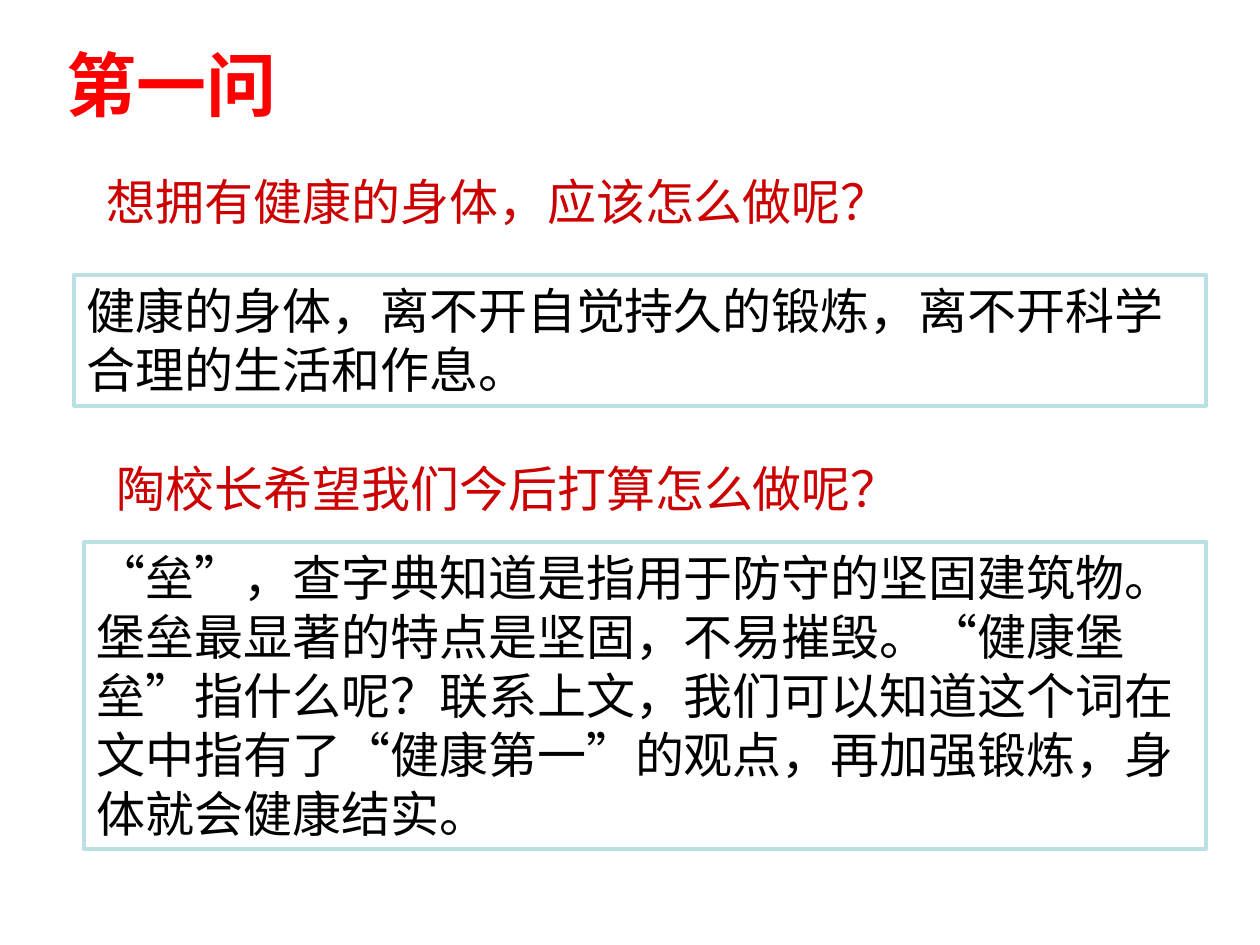
from pptx import Presentation
from pptx.dml.color import RGBColor
from pptx.enum.lang import MSO_LANGUAGE_ID
from pptx.enum.shapes import MSO_SHAPE
from pptx.enum.text import MSO_ANCHOR, MSO_AUTO_SIZE, PP_ALIGN
from pptx.oxml.ns import qn
from pptx.util import Inches, Pt
from lxml.etree import SubElement

# Content: heading, then a question and its answer, each with left, top, width, height
SANS = "Noto Sans CJK SC"
HEAD = ("第一问", (0.43, 0.28, 2.52, 0.77))
PAIRS = [
    (("想拥有健康的身体，应该怎么做呢？", (0.75, 1.31, 8.74, 0.57), SANS),
     ("健康的身体，离不开自觉持久的锻炼，离不开科学合理的生活和作息。",
      (0.59, 2.18, 8.98, 1.04))),
    (("陶校长希望我们今后打算怎么做呢？", (0.83, 3.59, 6.93, 0.57), "Arial"),
     ("“垒”，查字典知道是指用于防守的坚固建筑物。堡垒最显著的特点是坚固，不易摧毁。"
      "“健康堡垒”指什么呢？联系上文，我们可以知道这个词在文中指有了“健康第一”的观点，"
      "再加强锻炼，身体就会健康结实。", (0.67, 4.3, 8.9, 2.44))),
]
FRAME = {"word_wrap": True, "auto_size": MSO_AUTO_SIZE.NONE,
         "vertical_anchor": MSO_ANCHOR.TOP,
         "margin_left": Inches(0.1), "margin_right": Inches(0.1),
         "margin_top": Inches(0.05), "margin_bottom": Inches(0.05)}


def color(code):
    return RGBColor.from_string(code)


def apply(item, values):
    for key, value in values.items():
        setattr(item, key, value)


def write(shape, text, tint, name=SANS, size=28, bold=False):
    frame = shape.text_frame
    apply(frame, FRAME)
    para = frame.paragraphs[0]
    apply(para, {"alignment": PP_ALIGN.LEFT, "space_before": Pt(0)})
    run = para.add_run()
    run.text = text
    apply(run.font, {"name": name, "size": Pt(size), "bold": bold,
                     "language_id": MSO_LANGUAGE_ID.SIMPLIFIED_CHINESE})
    run.font.color.rgb = color(tint)
    # East Asian typeface for the Chinese glyphs
    SubElement(run.font._element, qn("a:ea")).set("typeface", SANS)


def place(box):
    return [Inches(part) for part in box]


deck = Presentation()
apply(deck, {"slide_width": Inches(10), "slide_height": Inches(7.5)})
slide = deck.slides.add_slide(deck.slide_layouts[5])

# Heading
text, box = HEAD
title = slide.shapes.title
apply(title, dict(zip(("left", "top", "width", "height"), place(box))))
write(title, text, "FF0000", "Arial", 40, True)

# Questions with framed answers
for (ask, spot, face), (reply, box) in PAIRS:
    write(slide.shapes.add_textbox(*place(spot)), ask, "CC0000", face)
    panel = slide.shapes.add_shape(MSO_SHAPE.RECTANGLE, *place(box))
    panel.shadow.inherit = False
    panel.fill.background()
    panel.line.color.rgb = color("BBE0E3")
    panel.line.width = Pt(2.25)
    write(panel, reply, "000000")

deck.save("out.pptx")
